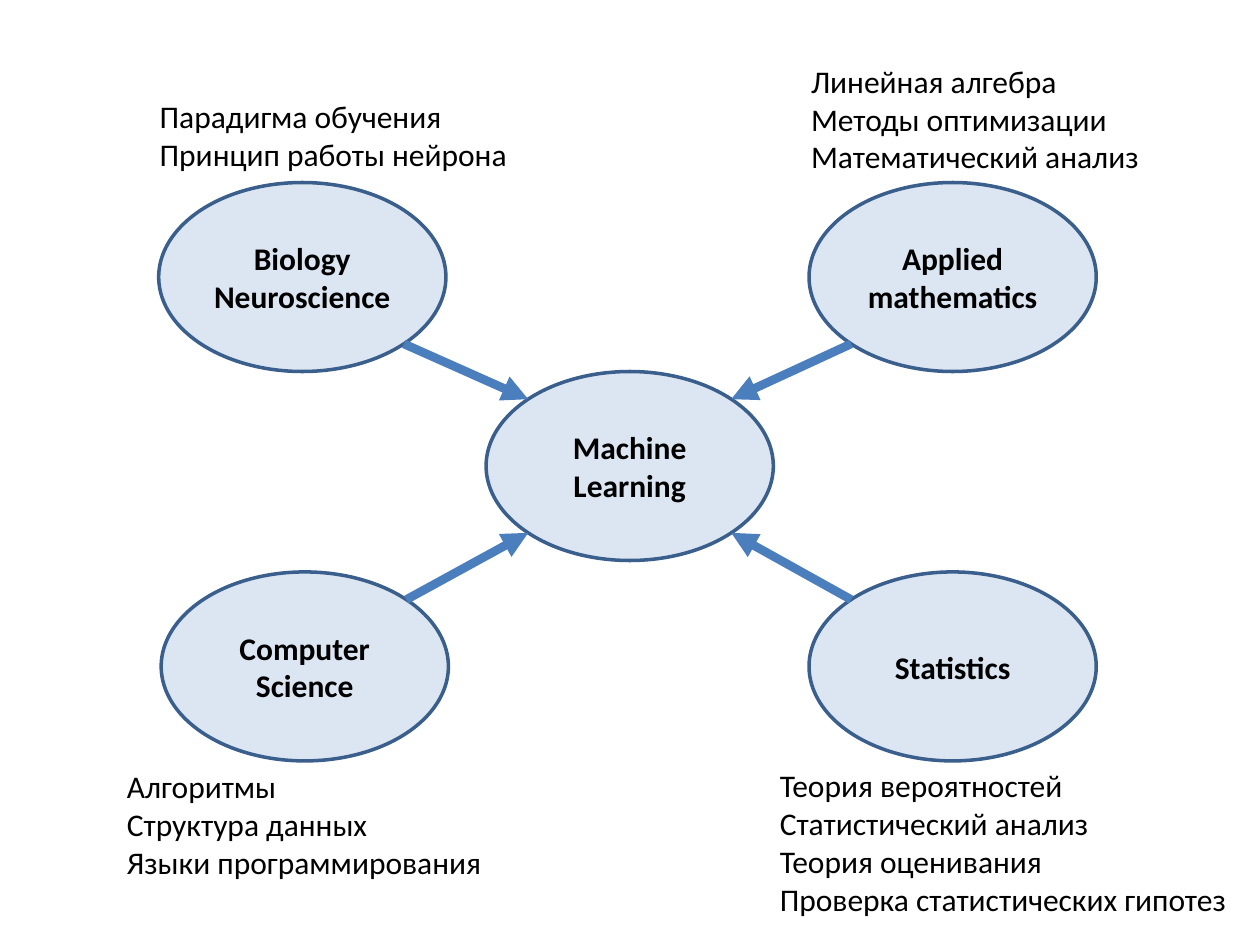
import math
import pptx
import pptx.util
import pptx.dml.color
import pptx.enum.shapes
import pptx.enum.text
import pptx.oxml
import pptx.oxml.ns

Cm = pptx.util.Cm
Pt = pptx.util.Pt
Align = pptx.enum.text.PP_ALIGN
Anchor = pptx.enum.text.MSO_ANCHOR


def paint(color, code):
    color.rgb = pptx.dml.color.RGBColor.from_string(code)


class Board:
    font = "Calibri"
    size = 18
    ink = "000000"
    fill = "DCE6F2"
    edge = "3A5F8C"
    beam = "4B7EBC"
    wide = 5.79
    high = 3.81

    def __init__(self, slide):
        self.slide = slide

    def label(self, frame, text, align, bold=False):
        frame.word_wrap = True
        for i, part in enumerate(text):
            para = frame.paragraphs[0] if i == 0 else frame.add_paragraph()
            para.alignment = align
            for j, line in enumerate(part.split("\n")):
                if j:
                    para.add_line_break()
                run = para.add_run()
                run.text = line
                run.font.name = self.font
                run.font.size = Pt(self.size)
                run.font.bold = bold
                paint(run.font.color, self.ink)

    def oval(self, left, top, text):
        kind = pptx.enum.shapes.MSO_SHAPE.OVAL
        shape = self.slide.shapes.add_shape(
            kind, Cm(left), Cm(top), Cm(self.wide), Cm(self.high))
        shape.shadow.inherit = False
        shape.fill.solid()
        paint(shape.fill.fore_color, self.fill)
        paint(shape.line.color, self.edge)
        shape.line.width = Pt(2)
        shape.text_frame.vertical_anchor = Anchor.MIDDLE
        self.label(shape.text_frame, text, Align.CENTER, True)
        return left + self.wide / 2, top + self.high / 2

    def note(self, left, top, wide, high, text):
        box = self.slide.shapes.add_textbox(Cm(left), Cm(top), Cm(wide), Cm(high))
        frame = box.text_frame
        self.label(frame, text, Align.LEFT)
        frame.auto_size = pptx.enum.text.MSO_AUTO_SIZE.SHAPE_TO_FIT_TEXT

    def rim(self, mid, goal):
        turn = math.sqrt(0.5)
        return (Cm(mid[0] + math.copysign(self.wide / 2 * turn, goal[0] - mid[0])),
                Cm(mid[1] + math.copysign(self.high / 2 * turn, goal[1] - mid[1])))

    def arrow(self, start, end):
        line = self.slide.shapes.add_connector(
            pptx.enum.shapes.MSO_CONNECTOR.STRAIGHT,
            *self.rim(start, end), *self.rim(end, start))
        paint(line.line.color, self.beam)
        line.line.width = Pt(5)
        space = pptx.oxml.ns.nsdecls("a")
        props = line._element.spPr
        stroke = props.find(pptx.oxml.ns.qn("a:ln"))
        stroke.append(pptx.oxml.parse_xml(f'<a:tailEnd {space} type="triangle"/>'))
        props.append(pptx.oxml.parse_xml(f"<a:effectLst {space}/>"))


def main():
    deck = pptx.Presentation()
    deck.slide_width, deck.slide_height = Cm(25.4), Cm(19.05)
    board = Board(deck.slides.add_slide(deck.slide_layouts[6]))

    core = board.oval(9.8, 7.49, ["Machine", "Learning"])
    fields = [
        (3.2, 3.68, "Biology\nNeuroscience"),
        (16.31, 3.68, "Applied\nmathematics"),
        (3.25, 11.53, "Computer\nScience"),
        (16.31, 11.53, "Statistics"),
    ]
    mids = [board.oval(left, top, [text]) for left, top, text in fields]

    notes = [
        (2.97, 1.83, 7.72, 1.8, ["Парадигма обучения\nПринцип работы нейрона"]),
        (16.1, 1.12, 7.32, 2.56,
         ["Линейная алгебра\nМетоды оптимизации", "Математический анализ"]),
        (15.47, 15.32, 9.8, 3.33,
         ["Теория вероятностей", "Статистический анализ",
          "Теория оценивания", "Проверка статистических гипотез"]),
        (2.31, 15.34, 9.8, 2.56,
         ["Алгоритмы\nСтруктура данных", "Языки программирования"]),
    ]
    for note in notes:
        board.note(*note)
    for mid in mids:
        board.arrow(mid, core)

    deck.save("out.pptx")


if __name__ == "__main__":
    main()
